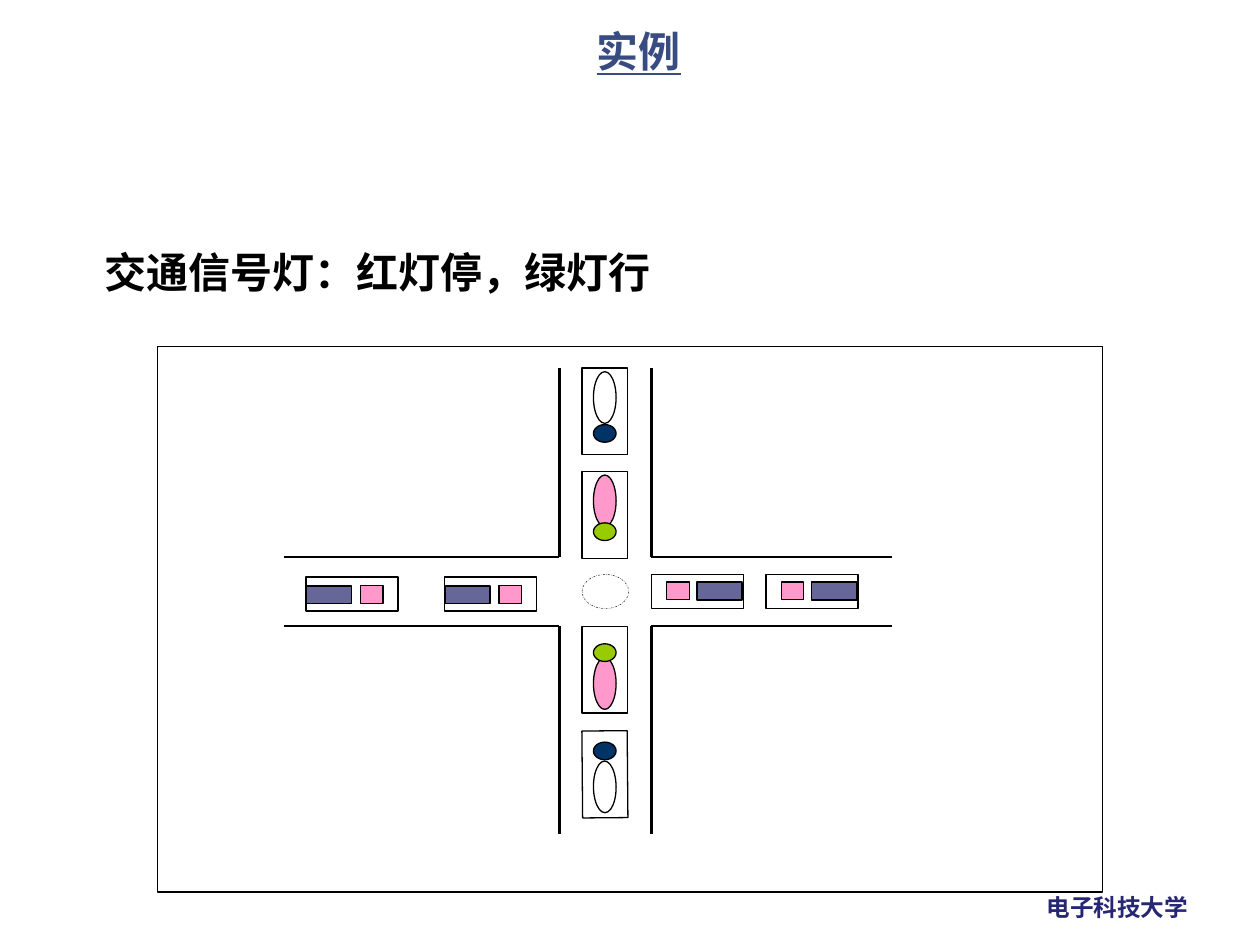
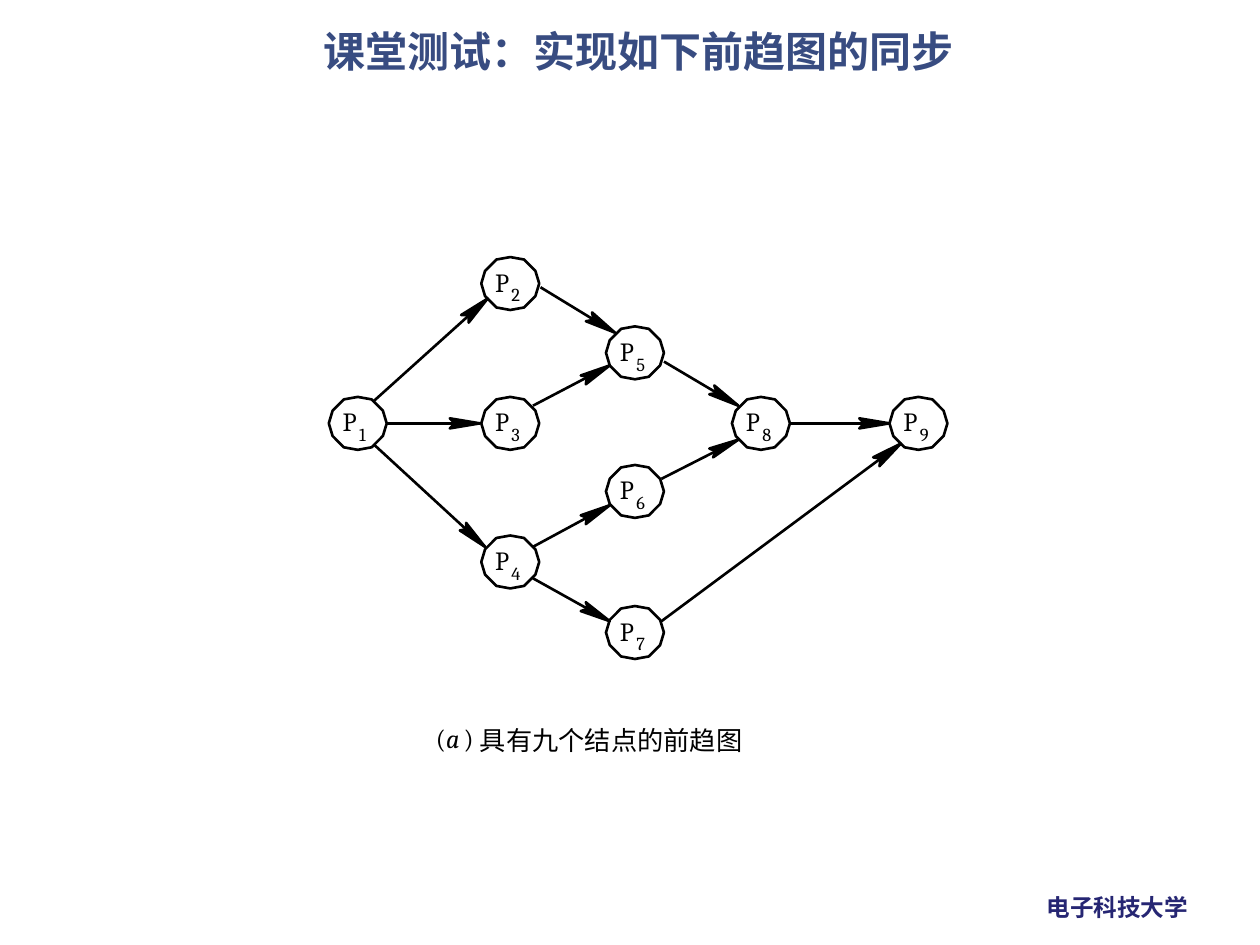
from itertools import product
from math import hypot

from lxml import etree
from pptx import Presentation
from pptx.dml.color import RGBColor
from pptx.enum.dml import MSO_LINE
from pptx.enum.shapes import MSO_CONNECTOR, MSO_SHAPE
from pptx.enum.text import MSO_ANCHOR, PP_ALIGN
from pptx.oxml.ns import qn
from pptx.util import Pt

PX = 9144  # EMU per px, 100 px to the inch
WIDTH, HEIGHT = 1000, 750

BLACK = RGBColor(0x00, 0x00, 0x00)
WHITE = RGBColor(0xFF, 0xFF, 0xFF)
TITLE_BLUE = RGBColor(0x38, 0x4C, 0x81)
FOOTER_BLUE = RGBColor(0x26, 0x26, 0x73)
CARGO_BLUE = RGBColor(0x66, 0x66, 0x99)
PINK = RGBColor(0xFF, 0x99, 0xCC)
GREEN = RGBColor(0x99, 0xCC, 0x00)
NAVY = RGBColor(0x00, 0x33, 0x66)

CHINESE_FONT = "Noto Sans CJK SC"
LATIN_FONT = "Cambria"


class Deck:
    """Holds the shared style and the slide being drawn."""

    def __init__(self):
        self.presentation = Presentation()
        self.presentation.slide_width = WIDTH * PX
        self.presentation.slide_height = HEIGHT * PX
        self.slide = None

    def add_slide(self, title, underline=None):
        layout = self.presentation.slide_layouts[6]
        self.slide = self.presentation.slides.add_slide(layout)
        self.text("电子科技大学", (823, 705, 134, 33), 13.5, FOOTER_BLUE,
                  bold=True, margins=(8, 4))
        paragraph = self.text(title, (106, 21, 802, 60), 24, TITLE_BLUE,
                              bold=True, margins=(8, 4), wrap=True)
        paragraph.alignment = PP_ALIGN.CENTER
        paragraph.line_spacing = 0.9
        paragraph.font.underline = underline

    def text(self, words, box, size, color=BLACK, font_name=CHINESE_FONT,
             bold=None, italic=None, margins=(0, 0), wrap=False):
        shape = self.slide.shapes.add_textbox(*(value * PX for value in box))
        frame = shape.text_frame
        frame.word_wrap = wrap
        frame.vertical_anchor = MSO_ANCHOR.TOP
        frame.margin_left = frame.margin_right = margins[0] * PX
        frame.margin_top = frame.margin_bottom = margins[1] * PX
        paragraph = frame.paragraphs[0]
        paragraph.text = words
        font = paragraph.font
        font.size, font.bold, font.italic = Pt(size), bold, italic
        font.color.rgb = color
        font.name = font_name
        properties = paragraph._p.pPr.find(qn("a:defRPr"))
        etree.SubElement(properties, qn("a:ea")).set("typeface", font_name)
        return paragraph

    def paint(self, shape, fill, line_width):
        shape.shadow.inherit = False
        if fill is None:
            shape.fill.background()
        else:
            shape.fill.solid()
            shape.fill.fore_color.rgb = fill
        shape.line.color.rgb = BLACK
        shape.line.width = Pt(line_width)
        return shape

    def shape(self, kind, box, fill=None, line_width=0.75, rotation=0):
        shape = self.slide.shapes.add_shape(kind, *(value * PX for value in box))
        shape.rotation = rotation
        return self.paint(shape, fill, line_width)

    def polygon(self, points, fill=None):
        builder = self.slide.shapes.build_freeform(*points[0], scale=PX)
        builder.add_line_segments(points[1:], close=True)
        return self.paint(builder.convert_to_shape(), fill, 1.5)

    def line(self, start, end):
        connector = self.slide.shapes.add_connector(
            MSO_CONNECTOR.STRAIGHT, *(value * PX for value in (*start, *end)))
        connector.line.color.rgb = BLACK
        connector.line.width = Pt(1.5)
        etree.SubElement(connector._element.spPr, qn("a:effectLst"))

    def arrow(self, start, end):
        """A line with a long notched head."""
        self.line(start, end)
        run, rise = end[0] - start[0], end[1] - start[1]
        length = hypot(run, rise)
        run, rise = run / length, rise / length

        def behind_tip(back, side):
            return (round(end[0] - back * run - side * rise),
                    round(end[1] - back * rise + side * run))

        self.polygon([behind_tip(24, -4), behind_tip(20, 0),
                      behind_tip(24, 4), end], BLACK)

    def side_car(self, left, top, cargo_left, cab_left, inner_top):
        """A car on the west-east road."""
        rectangle = MSO_SHAPE.RECTANGLE
        self.shape(rectangle, (left + cargo_left, top + inner_top, 36, 14),
                   CARGO_BLUE, 1)
        self.shape(rectangle, (left + cab_left, top + inner_top, 18, 14), PINK)
        self.shape(rectangle, (left, top, 73, 27))

    def upright_car(self, top, body_top, body_fill, head_top, head_fill,
                    rotation=0):
        """A car on the north-south road."""
        oval = MSO_SHAPE.OVAL
        self.shape(MSO_SHAPE.RECTANGLE, (462, top, 36, 69), rotation=rotation)
        self.shape(oval, (471, body_top, 18, 41), body_fill, rotation=rotation)
        self.shape(oval, (471, head_top, 18, 14), head_fill, rotation=rotation)

    def node(self, number, center_x, center_y, fill):
        """A twelve-sided node, mirrored from one quarter, with its label."""
        quarter = [(-23, 0), (-20, -10), (-11, -19), (0, -21)]
        upper = quarter + [(-x, y) for x, y in quarter[-2::-1]]
        outline = upper + [(x, -y) for x, y in upper[-2:0:-1]]
        self.polygon([(center_x + x, center_y + y) for x, y in outline], fill)
        self.text("P", (center_x - 12, center_y - 14, 12, 25), 15,
                  font_name=LATIN_FONT)
        self.text(str(number), (center_x + 1, center_y, 7, 18), 10.5,
                  font_name=LATIN_FONT)


def draw_crossroads(deck):
    deck.add_slide("实例", underline=True)
    deck.text("交通信号灯：红灯停，绿灯行", (75, 192, 850, 450), 24, bold=True,
              margins=(8, 4), wrap=True)
    deck.shape(MSO_SHAPE.RECTANGLE, (125, 275, 750, 433))

    # Road edges, broken at the crossing
    west, east, north, south = 444, 517, 442, 497
    for y, (start, end) in product((north, south), ((225, west), (east, 708))):
        deck.line((start, y), (end, y))
    for x, (start, end) in product((west, east), ((292, north), (south, 662))):
        deck.line((x, start), (x, end))

    # Cars
    for left in (243, 353):
        deck.side_car(left, 458, cargo_left=0, cab_left=43, inner_top=7)
    for left in (517, 608):
        deck.side_car(left, 456, cargo_left=36, cab_left=12, inner_top=6)
    deck.upright_car(292, 295, WHITE, 337, NAVY)
    deck.upright_car(374, 377, PINK, 415, GREEN)
    deck.upright_car(497, 522, PINK, 511, GREEN)
    deck.upright_car(580, 604, WHITE, 589, NAVY, rotation=179.5)

    # Middle of the crossing
    center = deck.shape(MSO_SHAPE.OVAL, (462, 456, 37, 27), line_width=0.25)
    center.line.dash_style = MSO_LINE.DASH_DOT


def draw_precedence_graph(deck):
    deck.add_slide("课堂测试：实现如下前趋图的同步")

    # Nodes P1 to P9
    centers = [(284, 336), (405, 225), (405, 336), (405, 446), (504, 280),
               (504, 390), (504, 502), (604, 336), (729, 336)]
    for number, (x, y) in enumerate(centers, 1):
        deck.node(number, x, y, WHITE if x == 504 else None)

    # Edges, from rim to rim
    edges = [
        ((297, 318), (387, 237)),  # P1 to P2
        ((307, 336), (381, 336)),  # P1 to P3
        ((297, 353), (385, 434)),  # P1 to P4
        ((429, 228), (488, 264)),  # P2 to P5
        ((423, 322), (484, 290)),  # P3 to P5
        ((423, 434), (484, 401)),  # P4 to P6
        ((423, 459), (484, 493)),  # P4 to P7
        ((527, 287), (586, 322)),  # P5 to P8
        ((525, 380), (586, 349)),  # P6 to P8
        ((525, 493), (715, 352)),  # P7 to P9
        ((627, 336), (706, 336)),  # P8 to P9
    ]
    for start, end in edges:
        deck.arrow(start, end)

    # Caption
    for words, left, width in (("(", 346, 7), ("a", 354, 11), (")", 368, 12)):
        deck.text(words, (left, 573, width, 25), 15, font_name=LATIN_FONT,
                  italic=True if words == "a" else None)
    deck.text("具有九个结点的前趋图", (381, 575, 210, 25), 15)


def main():
    deck = Deck()
    draw_crossroads(deck)
    draw_precedence_graph(deck)
    deck.presentation.save("out.pptx")


if __name__ == "__main__":
    main()
